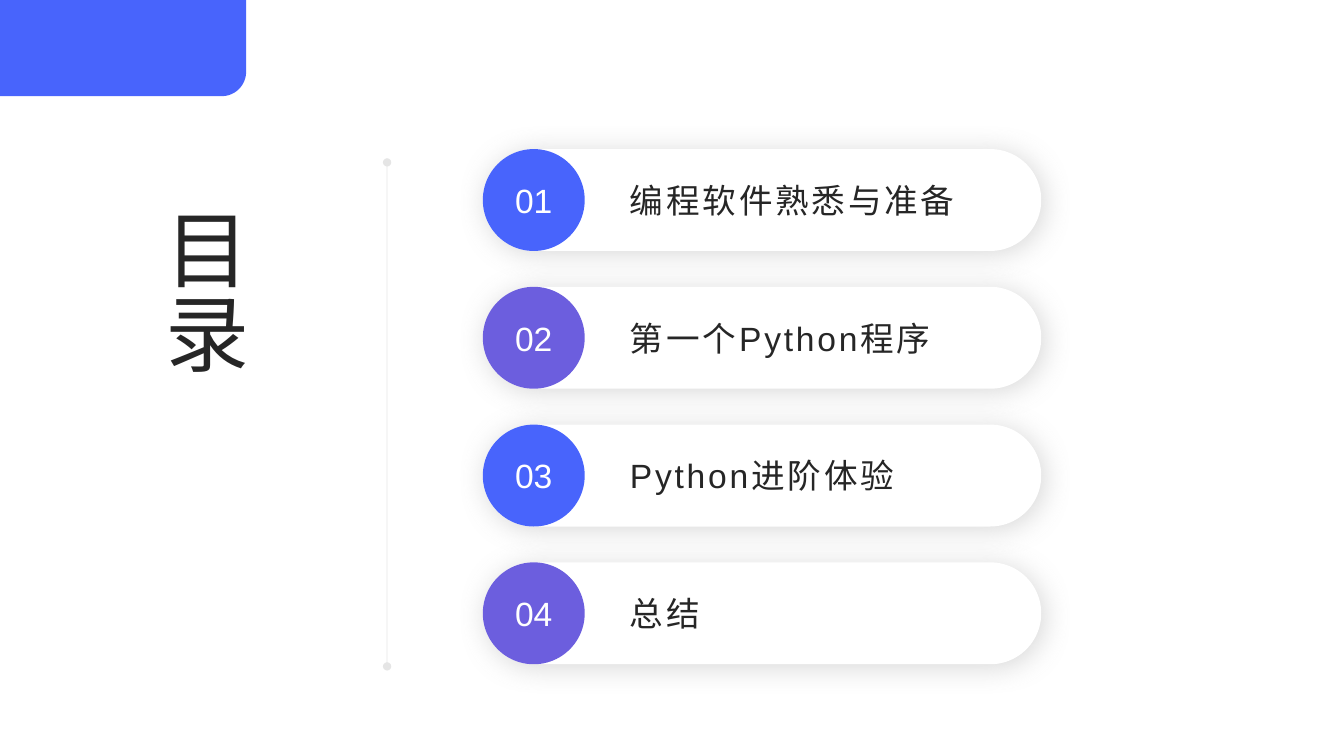
"""Build the contents slide with four numbered entries."""
import math
from dataclasses import dataclass

from lxml import etree
from pptx import Presentation
from pptx import util as u
from pptx.dml import color
from pptx.enum import shapes, text
from pptx.oxml import ns

COLORS = {
    "blue": "4864FC",
    "violet": "6C5EDE",
    "ink": "262626",
    "white": "FFFFFF",
    "gray": "808080",
}
TOP, PITCH, LEFT, SIZE = 106.5, 98.4, 344.9, 72.8


@dataclass
class Entry:
    number: str
    label: str
    fill: str


ENTRIES = [
    Entry("01", "编程软件熟悉与准备", "blue"),
    Entry("02", "第一个Python程序", "violet"),
    Entry("03", "Python进阶体验", "blue"),
    Entry("04", "总结", "violet"),
]


def rgb(name: str) -> color.RGBColor:
    return color.RGBColor.from_string(COLORS[name])


def add_node(parent, tag: str, **attrs: str):
    node = etree.SubElement(parent, ns.qn(tag))
    for key, value in attrs.items():
        node.set(key, value)
    return node


def paint(sp, name: str) -> None:
    sp.shadow.inherit = False
    sp.fill.solid()
    sp.fill.fore_color.rgb = rgb(name)
    sp.line.fill.background()


def write(sp, content: str, size: float, name: str, align, inset: float = 0,
          spacing: float = 0, wrap: bool = True) -> None:
    tf = sp.text_frame
    tf.word_wrap = wrap
    tf.vertical_anchor = text.MSO_ANCHOR.MIDDLE
    tf.margin_left = tf.margin_right = u.Pt(inset)
    tf.margin_top = tf.margin_bottom = 0
    p = tf.paragraphs[0]
    p.alignment = align
    r = p.add_run()
    r.text = content
    r.font.size = u.Pt(size)
    r.font.name = "Arial"
    r.font.color.rgb = rgb(name)
    if spacing:
        r.font._element.set("spc", str(int(spacing * 100)))


def add_soft_shadow(sp) -> None:
    effects = sp._element.spPr.find(ns.qn("a:effectLst"))
    shadow = add_node(effects, "a:outerShdw", blurRad=str(u.Pt(20)),
                      dist=str(u.Pt(3)), dir="2700000", algn="tl",
                      rotWithShape="0")
    tint = add_node(shadow, "a:srgbClr", val=COLORS["gray"])
    add_node(tint, "a:alpha", val="30000")


def add_divider(s) -> None:
    cx = s.shapes.add_connector(shapes.MSO_CONNECTOR.STRAIGHT, u.Pt(276.5),
                                u.Pt(116), u.Pt(276.5), u.Pt(476))
    cx.line.width = u.Pt(0.5)
    cx.line.color.rgb = rgb("gray")
    ln = cx.line._ln
    add_node(ln.find(".//" + ns.qn("a:srgbClr")), "a:alpha", val="20000")
    add_node(ln, "a:headEnd", type="oval")
    add_node(ln, "a:tailEnd", type="oval")
    add_node(cx._element.spPr, "a:effectLst")


def add_corner(s) -> None:
    left, right, bottom, radius = -1.4, 175.8, 68.7, 17.4
    angles = [math.radians(a) for a in range(0, 91, 5)]
    arc = [(u.Pt(right - radius + radius * math.cos(a)),
            u.Pt(bottom - radius + radius * math.sin(a))) for a in angles]
    fb = s.shapes.build_freeform(u.Pt(left), 0)
    fb.add_line_segments([(u.Pt(right), 0), *arc, (u.Pt(left), u.Pt(bottom))])
    paint(fb.convert_to_shape(), "blue")


def add_title(s) -> None:
    sp = s.shapes.add_textbox(u.Pt(92.2), u.Pt(141), u.Pt(108), u.Pt(283.7))
    write(sp, "目录", 60, "ink", text.PP_ALIGN.LEFT, 3.6)
    tf = sp.text_frame
    tf.margin_top = tf.margin_bottom = u.Pt(3.6)
    tf._txBody.bodyPr.set("vert", "eaVert")


def add_entry(s, entry: Entry, top: float) -> None:
    pill = s.shapes.add_shape(shapes.MSO_SHAPE.ROUNDED_RECTANGLE, u.Pt(LEFT),
                              u.Pt(top), u.Pt(398.9), u.Pt(SIZE))
    pill.adjustments[0] = 0.5
    paint(pill, "white")
    add_soft_shadow(pill)
    disc = s.shapes.add_shape(shapes.MSO_SHAPE.OVAL, u.Pt(LEFT), u.Pt(top),
                              u.Pt(SIZE), u.Pt(SIZE))
    paint(disc, entry.fill)
    write(disc, entry.number, 24, "white", text.PP_ALIGN.CENTER, wrap=False)
    label = s.shapes.add_textbox(u.Pt(442.8), u.Pt(top), u.Pt(301.7), u.Pt(SIZE))
    write(label, entry.label, 24, "ink", text.PP_ALIGN.LEFT, 7.2, 2)


def main() -> None:
    prs = Presentation()
    prs.slide_width, prs.slide_height = u.Pt(960), u.Pt(540)
    s = prs.slides.add_slide(prs.slide_layouts[6])
    add_divider(s)
    add_corner(s)
    add_title(s)
    for i, entry in enumerate(ENTRIES):
        add_entry(s, entry, TOP + i * PITCH)
    prs.save("out.pptx")


if __name__ == "__main__":
    main()
